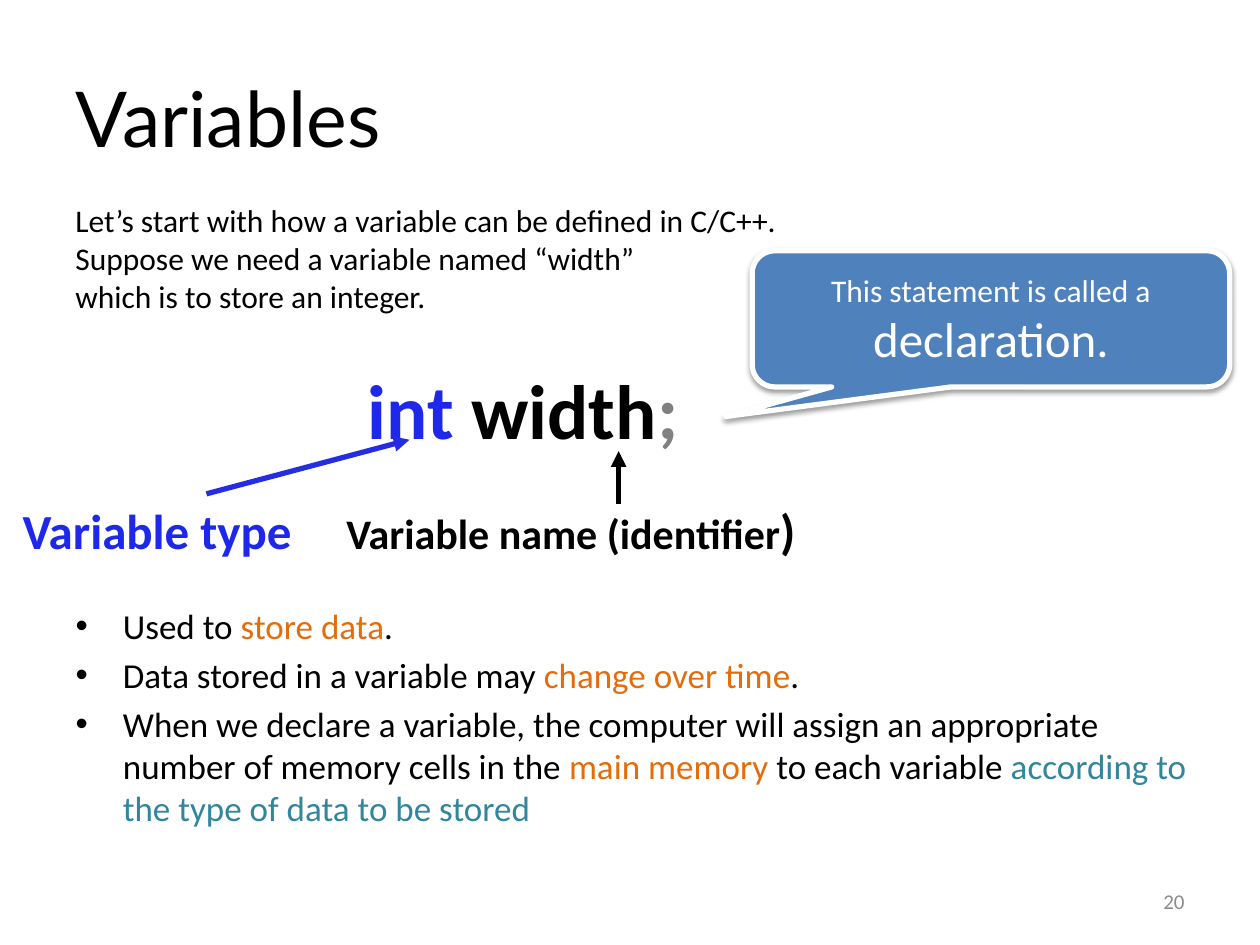
from lxml.etree import SubElement as Sub
from pptx import Presentation
from pptx.dml.color import RGBColor
from pptx.enum.shapes import MSO_CONNECTOR as Link, MSO_SHAPE as Shape
from pptx.enum.text import MSO_ANCHOR as Anchor, MSO_AUTO_SIZE as Auto, PP_ALIGN as Align
from pptx.oxml.ns import qn
from pptx.util import Pt

BLACK = RGBColor(0x00, 0x00, 0x00)
WHITE = RGBColor(0xFF, 0xFF, 0xFF)
BLUE = RGBColor(0x1E, 0x28, 0xEA)
ARROW = RGBColor(0x24, 0x2D, 0xE2)
ORANGE = RGBColor(0xE4, 0x6C, 0x0A)
TEAL = RGBColor(0x31, 0x85, 0x9C)
GREY = RGBColor(0x80, 0x80, 0x80)
PALE = RGBColor(0x8B, 0x8B, 0x8B)
FILL = RGBColor(0x4F, 0x81, 0xBD)

TITLE = [[("Variables", 44, BLACK)]]
INTRO = [[(line, 18, BLACK)] for line in (
    "Let’s start with how a variable can be defined in C/C++.",
    "Suppose we need a variable named “width”",
    "which is to store an integer.",
)]
FACTS = [
    [("Used to ", 20, BLACK), ("store data", 20, ORANGE), (".", 20, BLACK)],
    [("Data stored in a variable may ", 20, BLACK),
     ("change over time", 20, ORANGE), (".", 20, BLACK)],
    [("When we declare a variable, the computer will assign an appropriate "
      "number of memory cells in the ", 20, BLACK),
     ("main memory ", 20, ORANGE), ("to each variable ", 20, BLACK),
     ("according to the type of data to be stored", 20, TEAL)],
]
CODE = [[("int", 44, BLUE), (" width", 44, BLACK), (";", 44, GREY)]]
TYPE = [[("Variable type", 28, BLUE)]]
NAME = [[("Variable name (identifier", 24, BLACK), (")", 28, BLACK)]]
CALL = [[("This statement is called a ", 18, WHITE), ("declaration.", 28, WHITE)]]
PAGE = [[("20", 12, PALE)]]

BOXES = [
    (CODE, (203, 203.8, 254, 60), True, Align.LEFT, Anchor.TOP),
    (TYPE, (5.8, 282.2, 224, 40), True, Align.LEFT, Anchor.TOP),
    (NAME, (190.8, 282.2, 365, 40), True, Align.LEFT, Anchor.TOP),
    (INTRO, (36, 111.6, 615, 72), False, Align.LEFT, Anchor.TOP),
    (PAGE, (516, 500.4, 168, 28.8), False, Align.RIGHT, Anchor.MIDDLE),
]
ARROWS = [
    ((118, 282.2, 234, 251.3), ARROW),
    ((353.5, 288, 353.5, 257.8), BLACK),
]


def place(shape, area):
    shape.left, shape.top, shape.width, shape.height = map(Pt, area)


def write(shape, lines, bold=False, align=Align.LEFT, anchor=Anchor.TOP,
          face="Calibri", gap=0, bullet=False):
    frame = shape.text_frame
    frame.word_wrap = True
    frame.auto_size = Auto.NONE
    frame.vertical_anchor = anchor
    for i, line in enumerate(lines):
        para = frame.paragraphs[0] if i == 0 else frame.add_paragraph()
        para.alignment = align
        para.space_before = Pt(gap if i else 0)
        if bullet:
            props = para._p.get_or_add_pPr()
            props.set("marL", str(Pt(27)))
            props.set("indent", str(-Pt(27)))
            Sub(props, qn("a:buFont"), typeface="Arial")
            Sub(props, qn("a:buChar"), char="•")
        for text, size, color in line:
            run = para.add_run()
            run.text = text
            font = run.font
            font.name, font.size, font.bold = face, Pt(size), bold
            font.color.rgb = color


def draw_arrow(slide, ends, color):
    arrow = slide.shapes.add_connector(Link.STRAIGHT, *map(Pt, ends))
    arrow.line.color.rgb = color
    arrow.line.width = Pt(3)
    Sub(arrow.line._get_or_add_ln(), qn("a:tailEnd"), type="triangle")
    Sub(arrow._element.spPr, qn("a:effectLst"))


def draw_call(slide):
    call = slide.shapes.add_shape(
        Shape.ROUNDED_RECTANGULAR_CALLOUT, *map(Pt, (429.8, 143.3, 272.9, 77.8)))
    for i, value in enumerate((-0.555, 0.717, 0.167)):
        call.adjustments[i] = value
    call.fill.solid()
    call.fill.fore_color.rgb = FILL
    call.line.color.rgb = WHITE
    call.line.width = Pt(3)
    call.shadow.inherit = False
    effects = call._element.spPr.find(qn("a:effectLst"))
    shadow = Sub(effects, qn("a:outerShdw"), blurRad=str(Pt(3.1)),
                 dist=str(Pt(1.6)), dir="5400000", rotWithShape="0")
    tint = Sub(shadow, qn("a:srgbClr"), val=str(BLACK))
    Sub(tint, qn("a:alpha"), val="38000")
    write(call, CALL, align=Align.CENTER, anchor=Anchor.MIDDLE)


def main():
    deck = Presentation()
    deck.slide_width, deck.slide_height = Pt(720), Pt(540)
    slide = deck.slides.add_slide(deck.slide_layouts[1])
    title, body = slide.shapes.title, slide.placeholders[1]
    place(title, (36, 21.6, 648, 90))
    write(title, TITLE, anchor=Anchor.MIDDLE, face="Lato")
    place(body, (36, 342, 664, 148))
    write(body, FACTS, gap=4, bullet=True)
    for lines, area, bold, align, anchor in BOXES:
        box = slide.shapes.add_textbox(*map(Pt, area))
        write(box, lines, bold, align, anchor)
    for ends, color in ARROWS:
        draw_arrow(slide, ends, color)
    draw_call(slide)
    deck.save("out.pptx")


if __name__ == "__main__":
    main()
